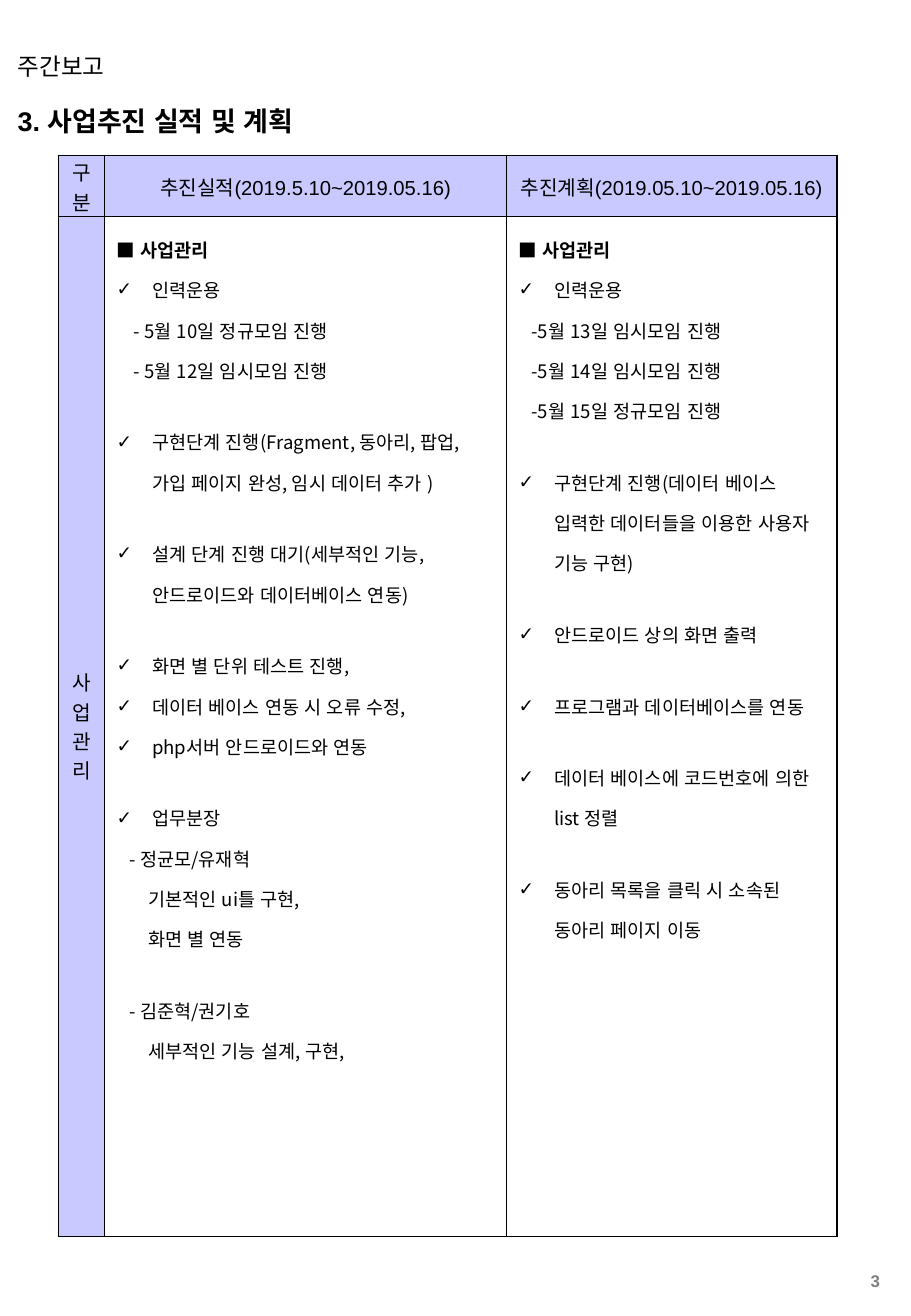
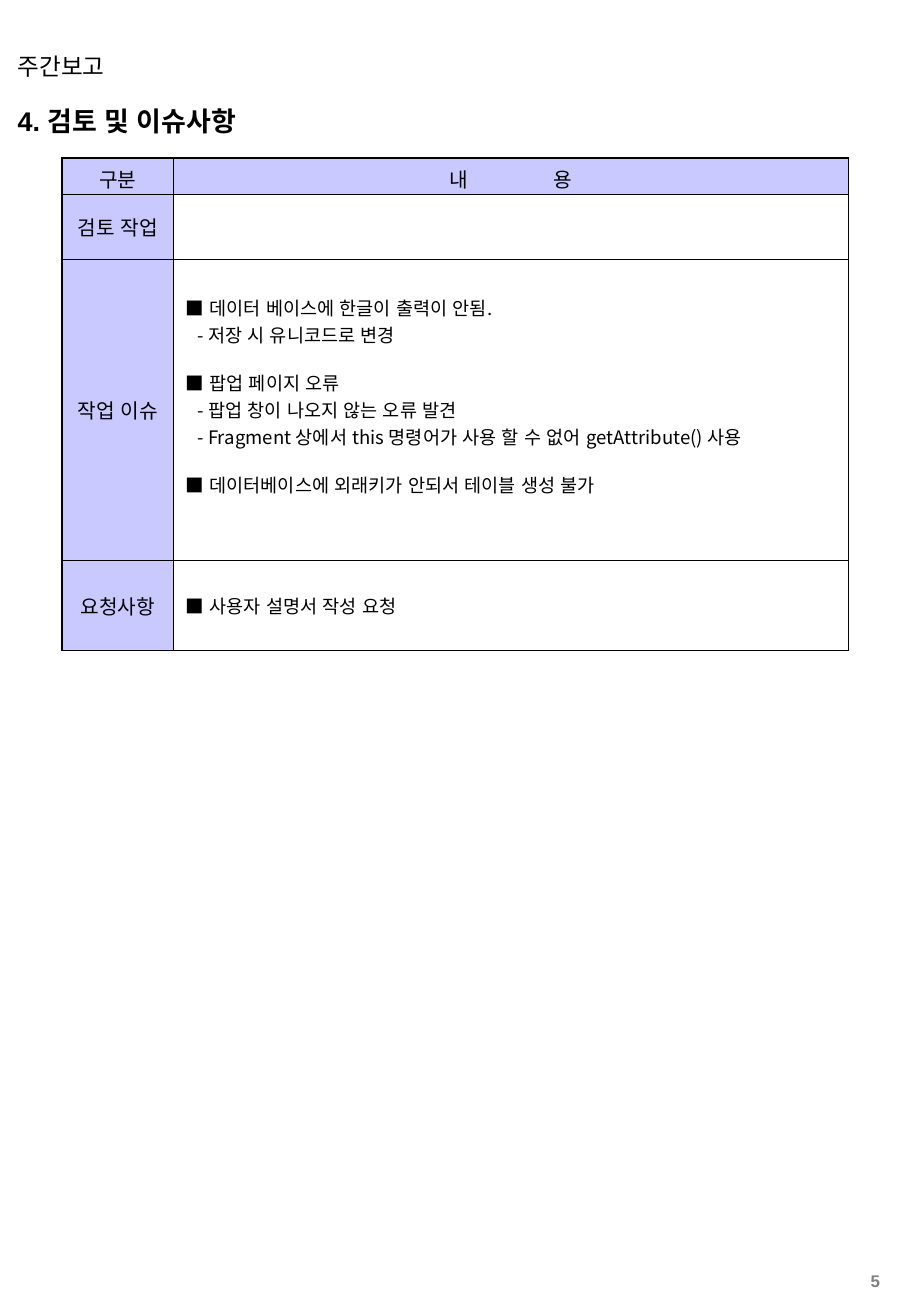
"""Build the weekly report: progress and plan, then review and issues."""
from dataclasses import dataclass

from lxml import etree
from pptx import Presentation
from pptx.dml.color import RGBColor
from pptx.enum import lang, text
from pptx.oxml import ns
from pptx.util import Pt

BLACK = RGBColor(0x00, 0x00, 0x00)
GREY = RGBColor(0x80, 0x80, 0x80)
LAVENDER = RGBColor(0xC9, 0xC9, 0xFF)
LATIN = "Arial"
KOREAN = "Noto Sans CJK KR"
LEFT, CENTER, RIGHT = text.PP_ALIGN.LEFT, text.PP_ALIGN.CENTER, text.PP_ALIGN.RIGHT
THIN, THICK = 0.45, 1.08
CHECK_INDENT = 21
DATE_INDENT, PLAN_INDENT, TEAM_INDENT, TASK_INDENT = 10, 7.6, 7.6, 18.6
ISSUE_INDENT = 7
SECTION_GAP = 18.5
ISSUE_GAP = 12.5


@dataclass
class Line:
    """One paragraph of a table cell."""
    words: str
    left: float = 0
    check: bool = False
    bold: bool = False
    gap: float = 0


def check(words, gap=0):
    """Return a line with a check mark."""
    return Line(words, CHECK_INDENT, check=True, gap=gap)


DONE = [
    Line("■ 사업관리", bold=True),
    check("인력운용"),
    Line("- 5월 10일 정규모임 진행", DATE_INDENT),
    Line("- 5월 12일 임시모임 진행", DATE_INDENT),
    check("구현단계 진행(Fragment, 동아리, 팝업, 가입 페이지 완성, 임시 데이터 추가 )", SECTION_GAP),
    check("설계 단계 진행 대기(세부적인 기능, 안드로이드와 데이터베이스 연동)", SECTION_GAP),
    check("화면 별 단위 테스트 진행,", SECTION_GAP),
    check("데이터 베이스 연동 시 오류 수정,"),
    check("php서버 안드로이드와 연동"),
    check("업무분장", SECTION_GAP),
    Line("- 정균모/유재혁", TEAM_INDENT),
    Line("기본적인 ui틀 구현,", TASK_INDENT),
    Line("화면 별 연동", TASK_INDENT),
    Line("- 김준혁/권기호", TEAM_INDENT, gap=SECTION_GAP),
    Line("세부적인 기능 설계, 구현,", TASK_INDENT),
]
PLANNED = [
    Line("■ 사업관리", bold=True),
    check("인력운용"),
    Line("-5월 13일 임시모임 진행", PLAN_INDENT),
    Line("-5월 14일 임시모임 진행", PLAN_INDENT),
    Line("-5월 15일 정규모임 진행", PLAN_INDENT),
    check("구현단계 진행(데이터 베이스 입력한 데이터들을 이용한 사용자 기능 구현)", SECTION_GAP),
    check("안드로이드 상의 화면 출력", SECTION_GAP),
    check("프로그램과 데이터베이스를 연동", SECTION_GAP),
    check("데이터 베이스에 코드번호에 의한 list 정렬", SECTION_GAP),
    check("동아리 목록을 클릭 시 소속된 동아리 페이지 이동", SECTION_GAP),
]
ISSUES = [
    Line("■ 데이터 베이스에 한글이 출력이 안됨."),
    Line("- 저장 시 유니코드로 변경", ISSUE_INDENT),
    Line("■ 팝업 페이지 오류", gap=ISSUE_GAP),
    Line("- 팝업 창이 나오지 않는 오류 발견", ISSUE_INDENT),
    Line("- Fragment 상에서 this 명령어가 사용 할 수 없어 getAttribute() 사용", ISSUE_INDENT),
    Line("■ 데이터베이스에 외래키가 안되서 테이블 생성 불가", gap=ISSUE_GAP),
]
REQUESTS = [Line("■ 사용자 설명서 작성 요청")]


def style_runs(paragraph, size, font=LATIN, color=BLACK, bold=False):
    """Format every run, with a Korean face for Korean letters."""
    for run in paragraph.runs:
        run.font.size, run.font.bold, run.font.name = Pt(size), bold, font
        run.font.color.rgb = color
        run.font.language_id = lang.MSO_LANGUAGE_ID.KOREAN
        latin = run.font._element.find(ns.qn("a:latin"))
        latin.addnext(etree.Element(ns.qn("a:ea"), typeface=KOREAN))


def add_label(slide, words, box, size, color=BLACK, bold=False, align=LEFT):
    """Add one line of text in a box."""
    frame = slide.shapes.add_textbox(*map(Pt, box)).text_frame
    frame.word_wrap = True
    frame.vertical_anchor = text.MSO_ANCHOR.MIDDLE
    frame.text = words
    frame.paragraphs[0].alignment = align
    style_runs(frame.paragraphs[0], size, color=color, bold=bold)


def add_report_slide(deck, title, number):
    """Add a slide with the report name, its title and the page number."""
    slide = deck.slides.add_slide(deck.slide_layouts[6])
    add_label(slide, "주간보고", (3.4, 27, 428.4, 24.5), 14)
    add_label(slide, title, (3.4, 58.3, 386, 26.6), 16, bold=True)
    add_label(slide, number, (488.4, 751, 40.3, 17.3), 10, GREY, True, RIGHT)
    return slide


def set_borders(cell, widths):
    """Draw the left, right, top and bottom borders of a cell."""
    properties = cell._tc.get_or_add_tcPr()
    for place, (side, width) in enumerate(zip("LRTB", widths)):
        border = etree.Element(ns.qn(f"a:ln{side}"), w=str(Pt(width)))
        fill = etree.SubElement(border, ns.qn("a:solidFill"))
        etree.SubElement(fill, ns.qn("a:srgbClr"), val=str(BLACK))
        properties.insert(place, border)


def add_grid(slide, left, top, columns, rows, header_inset, bottom=THICK):
    """Add a table with lavender labels in its first row and column."""
    frame = slide.shapes.add_table(len(rows), len(columns), Pt(left), Pt(top),
                                   Pt(sum(columns)), Pt(sum(rows)))
    grid = frame.table
    grid.first_row = grid.horz_banding = False
    for column, width in zip(grid.columns, columns):
        column.width = Pt(width)
    for row, height in zip(grid.rows, rows):
        row.height = Pt(height)
    last_row, last_column = len(rows) - 1, len(columns) - 1
    for r in range(len(rows)):
        for c in range(len(columns)):
            cell = grid.cell(r, c)
            cell.vertical_anchor = text.MSO_ANCHOR.MIDDLE
            if r == 0 or c == 0:
                cell.fill.solid()
                cell.fill.fore_color.rgb = LAVENDER
            else:
                cell.fill.background()
            if r == 0:
                cell.margin_top, cell.margin_bottom = Pt(header_inset), Pt(0)
            set_borders(cell, (THIN if c else THICK,
                               THICK if c == last_column else THIN,
                               THIN if r else THICK,
                               bottom if r == last_row else THIN))
    return grid


def fill_label(cell, words):
    """Write a centred label into a cell."""
    cell.text_frame.text = words
    for paragraph in cell.text_frame.paragraphs:
        paragraph.alignment = CENTER
        style_runs(paragraph, 12)


def fill_spread_label(cell, first, second, spacing):
    """Write two centred syllables set wide apart."""
    paragraph = cell.text_frame.paragraphs[0]
    paragraph.text = first + " "
    paragraph.add_run().text = second
    paragraph.alignment = CENTER
    style_runs(paragraph, 12)
    paragraph.runs[0].font._element.set("spc", str(round(spacing * 100)))


def fill_lines(cell, lines, spacing=1.0):
    """Write report lines into a cell."""
    frame = cell.text_frame
    frame.text = "\n".join(line.words for line in lines)
    for paragraph, line in zip(frame.paragraphs, lines):
        properties = paragraph._p.get_or_add_pPr()
        properties.set("marL", str(Pt(line.left)))
        properties.set("indent", str(Pt(-line.left if line.check else 0)))
        if line.check:
            etree.SubElement(properties, ns.qn("a:buFont"), typeface=LATIN)
            etree.SubElement(properties, ns.qn("a:buChar"), char="✓")
        paragraph.alignment = LEFT
        paragraph.line_spacing = spacing
        if line.gap:
            paragraph.space_before = Pt(line.gap)
        style_runs(paragraph, 11, KOREAN, bold=line.bold)


def build_progress(deck):
    """Build the slide on progress and plan."""
    slide = add_report_slide(deck, "3. 사업추진 실적 및 계획", "3")
    grid = add_grid(slide, 34.6, 92.2, (27.4, 238.3, 195.8), (36, 604.8), 1, bottom=THIN)
    headings = ("구분", "추진실적(2019.5.10~2019.05.16)", "추진계획(2019.05.10~2019.05.16)")
    for c, heading in enumerate(headings):
        fill_label(grid.cell(0, c), heading)
    fill_label(grid.cell(1, 0), "사업\n관리")
    for c, lines in enumerate((DONE, PLANNED), start=1):
        grid.cell(1, c).vertical_anchor = text.MSO_ANCHOR.TOP
        fill_lines(grid.cell(1, c), lines, spacing=1.5)


def build_issues(deck):
    """Build the slide on review and issues."""
    slide = add_report_slide(deck, "4. 검토 및 이슈사항", "5")
    grid = add_grid(slide, 36.7, 93.6, (66.2, 400), (21.6, 38.6, 178.6, 53.5), 3.6)
    for r, label in enumerate(("구분", "검토 작업", "작업 이슈", "요청사항")):
        fill_label(grid.cell(r, 0), label)
    fill_spread_label(grid.cell(0, 1), "내", "용", 23.5)
    grid.cell(2, 1).margin_bottom = Pt(20)
    fill_lines(grid.cell(2, 1), ISSUES)
    fill_lines(grid.cell(3, 1), REQUESTS)


def main():
    """Build and save the report."""
    deck = Presentation()
    deck.slide_width, deck.slide_height = Pt(540), Pt(780.48)
    build_progress(deck)
    build_issues(deck)
    deck.save("out.pptx")


if __name__ == "__main__":
    main()
